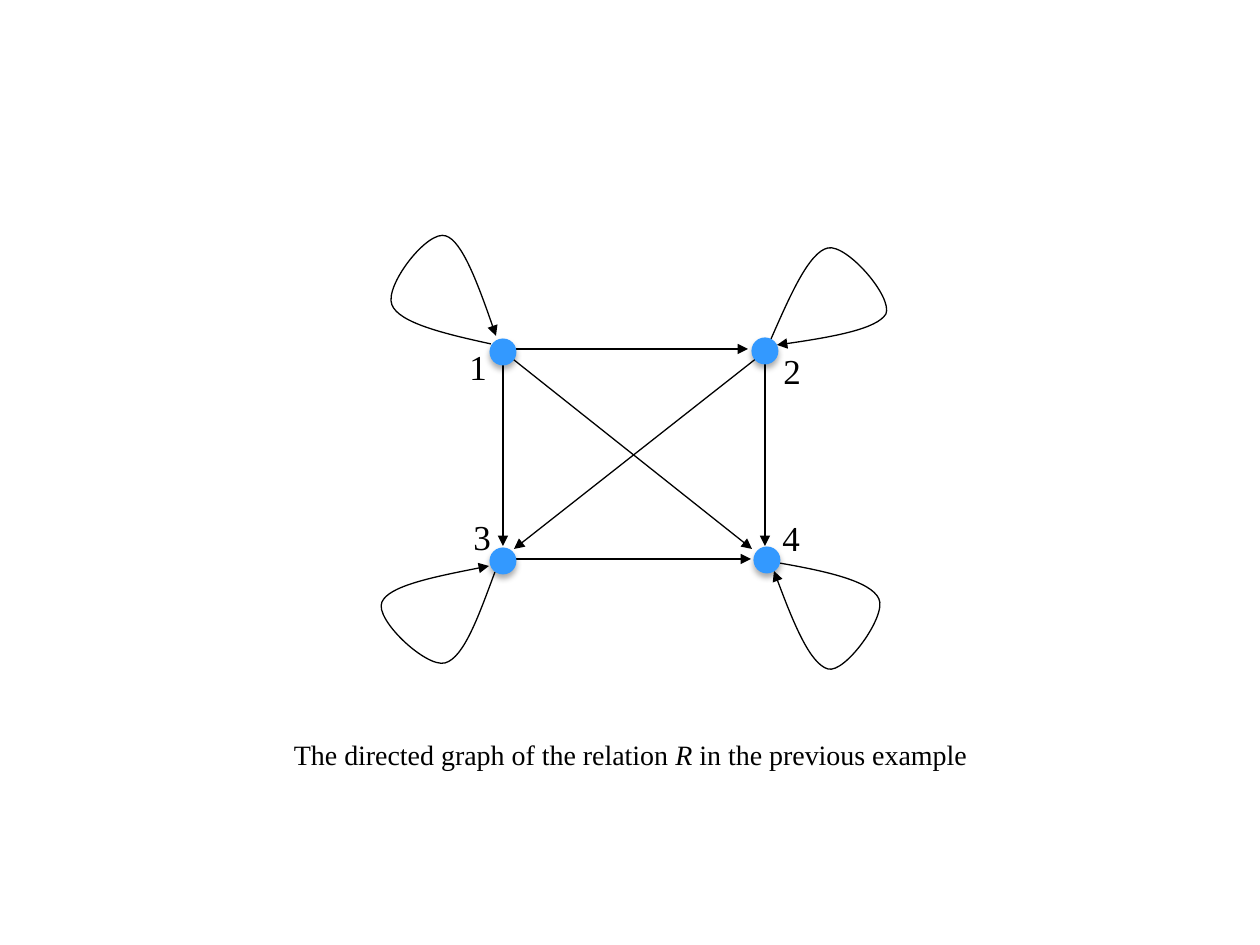
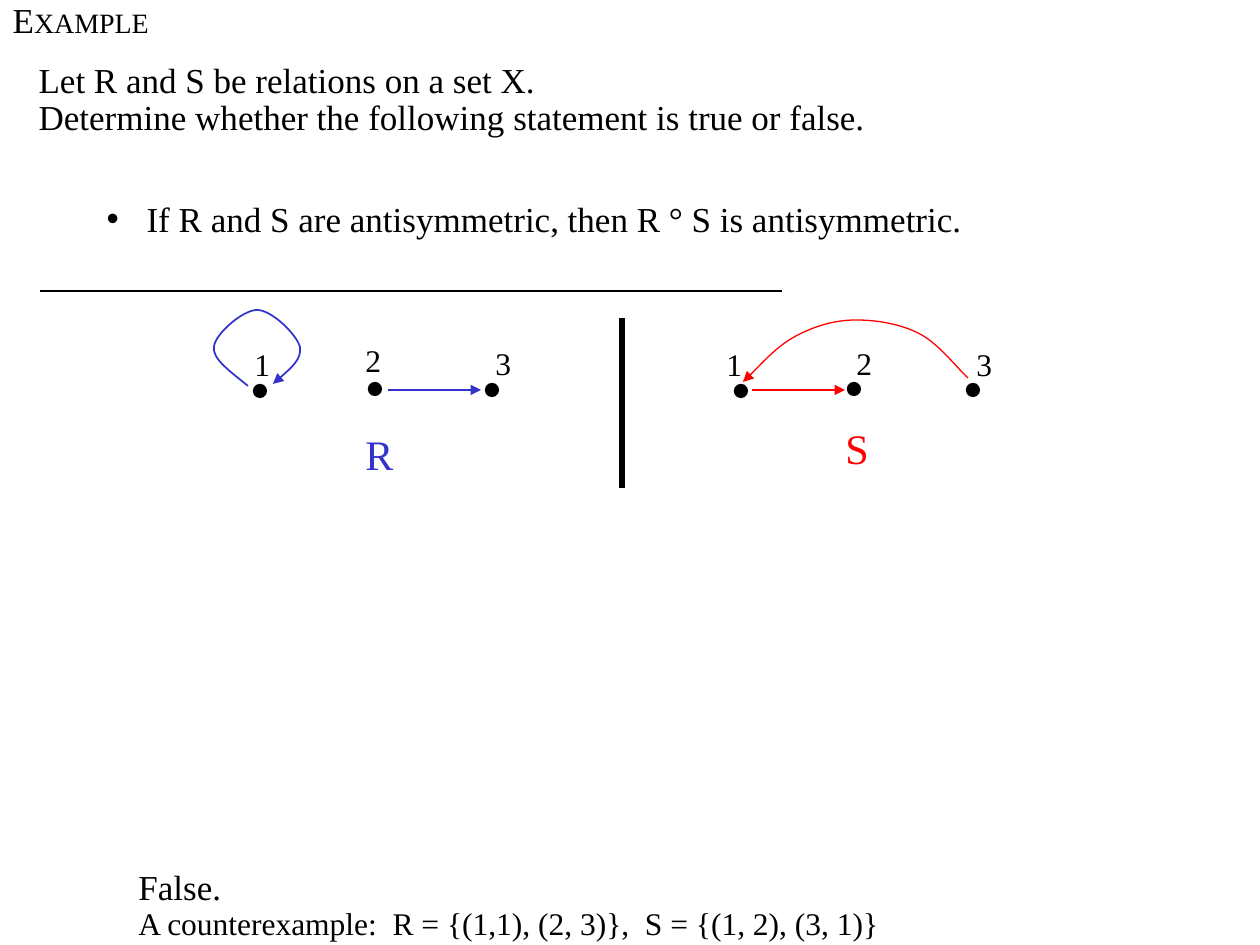
from lxml import etree
from pptx import Presentation
from pptx.dml.color import RGBColor
from pptx.enum.shapes import MSO_CONNECTOR, MSO_SHAPE
from pptx.enum.text import MSO_ANCHOR, MSO_AUTO_SIZE, PP_ALIGN
from pptx.oxml.ns import qn
from pptx.util import Inches, Pt

BLACK = RGBColor(0, 0, 0)
AZURE = RGBColor(0x33, 0x99, 0xFF)
BLUE = RGBColor(0x33, 0x33, 0xCC)
RED = RGBColor(0xFF, 0, 0)
FONT = "Times New Roman"
LEFT, CENTER = PP_ALIGN.LEFT, PP_ALIGN.CENTER
TOP = MSO_ANCHOR.TOP
FIXED = MSO_AUTO_SIZE.NONE
OVAL = MSO_SHAPE.OVAL
STRAIGHT = MSO_CONNECTOR.STRAIGHT
UNIT = Inches(1) // 126
TIGHT = {"ls": 0.8, "gap": 2}

CAPTION = [("The directed graph of the relation ", 16), ("R", 16, True),
           (" in the previous example", 16)]
NODES = [
    ("1", (503, 352), (457, 339)),
    ("2", (765, 351), (771, 343)),
    ("3", (503, 561), (461, 509)),
    ("4", (767, 560), (770, 510)),
]
EDGES = [
    ((501, 349), (748, 349)),
    ((503, 349), (503, 546)),
    ((762, 354), (514, 549)),
    ((504, 352), (752, 549)),
    ((765, 350), (765, 546)),
    ((498, 559), (751, 559)),
]
LOOPS = [
    [(491, 344), (445, 334), (399, 323), (392, 305), (384, 286),
     (428, 229), (446, 236), (462, 241), (480, 289), (496, 336)],
    [(771, 339), (790, 296), (809, 252), (828, 248), (847, 244),
     (893, 297), (886, 314), (877, 329), (828, 338), (777, 345)],
    [(495, 572), (479, 615), (464, 658), (445, 663), (426, 668),
     (374, 619), (382, 602), (389, 586), (438, 576), (489, 566)],
    [(779, 563), (825, 571), (871, 581), (879, 599), (887, 616),
     (845, 674), (828, 669), (810, 664), (791, 617), (774, 571)],
]

TITLE = [("E", 20), ("XAMPLE", 16)]
INTRO = ["Let R and S be relations on a set X.",
         "Determine whether the following statement is true or false."]
CLAIM = "If R and S are antisymmetric, then R ° S is antisymmetric."
ANSWER = [("False.", 20),
          ("A counterexample:  R = {(1,1), (2, 3)},  S = {(1, 2), (3, 1)}", 18)]
RULES = [((40, 291), (782, 291), 1.5), ((622, 318), (622, 488), 3)]
GRAPHS = [
    {"name": "R", "at": (353, 422), "color": BLUE, "width": 1,
     "nodes": [("1", (260, 391), (242, 339)), ("2", (375, 389), (353, 335)),
               ("3", (492, 390), (483, 338))],
     "edge": ((388, 390), (481, 390)),
     "curve": [(248, 386), (231, 372), (212, 359), (214, 347), (215, 334),
               (243, 310), (257, 310), (272, 310), (297, 335), (300, 347),
               (302, 359), (287, 372), (273, 384)]},
    {"name": "S", "at": (833, 416), "color": RED, "width": 0.75,
     "nodes": [("1", (741, 391), (714, 339)), ("2", (854, 389), (844, 338)),
               ("3", (973, 390), (964, 339))],
     "edge": ((752, 390), (845, 390)),
     "curve": [(968, 378), (958, 369), (939, 344), (920, 334), (901, 324),
               (877, 320), (856, 320), (835, 320), (815, 326), (796, 336),
               (777, 346), (752, 374), (743, 382)]},
]


def px(*vals):
    return [round(v * UNIT) for v in vals]


def place(shape, box):
    shape.left, shape.top, shape.width, shape.height = px(*box)
    frame = shape.text_frame
    frame.word_wrap = True
    frame.auto_size = FIXED
    frame.vertical_anchor = TOP
    return frame


def write(para, runs, color=BLACK, align=LEFT, ls=1, gap=0):
    para.alignment = align
    para.line_spacing = ls
    para.space_before = Pt(gap)
    for text, size, *slant in runs:
        run = para.add_run()
        run.text = text
        font = run.font
        font.name, font.size = FONT, Pt(size)
        font.italic = bool(slant)
        font.color.rgb = color


def lines(frame, rows):
    for i, (runs, style) in enumerate(rows):
        para = frame.add_paragraph() if i else frame.paragraphs[0]
        write(para, runs, **style)


def indent(para, left, hang, mark=None):
    props = para._p.get_or_add_pPr()
    props.set("marL", str(left * UNIT))
    props.set("indent", str(-hang * UNIT))
    if mark:
        etree.SubElement(props, qn("a:buChar")).set("char", mark)
    else:
        etree.SubElement(props, qn("a:buNone"))


def label(slide, text, at, size, color=BLACK):
    box = slide.shapes.add_textbox(0, 0, 0, 0)
    frame = place(box, (*at, 50, 60))
    frame.word_wrap = False
    write(frame.paragraphs[0], [(text, size)], color)


def stroke(shape, color, width, arrow):
    shape.line.color.rgb = color
    shape.line.width = Pt(width)
    if arrow:
        ln = shape.line._get_or_add_ln()
        etree.SubElement(ln, qn("a:tailEnd")).set("type", "triangle")


def link(slide, start, end, color=BLACK, width=0.75, arrow=True):
    wire = slide.shapes.add_connector(STRAIGHT, *px(*start, *end))
    stroke(wire, color, width, arrow)
    etree.SubElement(wire._element.spPr, qn("a:effectLst"))


def curve(slide, points, color=BLACK, width=0.75):
    dots = [px(*p) for p in points]
    form = slide.shapes.build_freeform(*dots[0])
    form.add_line_segments(dots[1:], close=False)
    shape = form.convert_to_shape()
    steps = list(shape._element.iter(qn("a:lnTo")))
    for i in range(0, len(steps), 3):
        bend = etree.Element(qn("a:cubicBezTo"))
        steps[i].addprevious(bend)
        for step in steps[i:i + 3]:
            bend.append(step[0])
            step.getparent().remove(step)
    shape.fill.background()
    stroke(shape, color, width, True)
    shape.shadow.inherit = False


def dot(slide, mid, size, color):
    x, y = mid
    shape = slide.shapes.add_shape(
        OVAL, *px(x - size / 2, y - size / 2, size, size))
    shape.fill.solid()
    shape.fill.fore_color.rgb = color
    shape.shadow.inherit = False
    return shape


def shade(shape):
    glow = shape._element.spPr.find(qn("a:effectLst"))
    cast = etree.SubElement(glow, qn("a:outerShdw"), blurRad=str(Pt(3.5)),
                            dist=str(Pt(2.2)), dir="5400000", rotWithShape="0")
    tone = etree.SubElement(cast, qn("a:srgbClr"), val=str(BLACK))
    etree.SubElement(tone, qn("a:alpha"), val="32000")


deck = Presentation()
deck.slide_width, deck.slide_height = Inches(10), Inches(7.5)

graph = deck.slides.add_slide(deck.slide_layouts[5])
frame = place(graph.shapes.title, (260, 731, 741, 47))
write(frame.paragraphs[0], CAPTION, align=CENTER)
for start, end in EDGES:
    link(graph, start, end)
for points in LOOPS:
    curve(graph, points)
for text, mid, at in NODES:
    node = dot(graph, mid, 27, AZURE)
    node.line.fill.background()
    shade(node)
    label(graph, text, at, 20)

proof = deck.slides.add_slide(deck.slide_layouts[1])
frame = place(proof.shapes.title, (0, 0, 400, 50))
lines(frame, [(TITLE, TIGHT)])
frame = place(proof.placeholders[1], (26, 60, 1100, 200))
lines(frame, [([(text, 20)], TIGHT) for text in INTRO]
      + [([(CLAIM, 20)], {"ls": 0.8, "gap": 39})])
*intro, claim = frame.paragraphs
for para in intro:
    indent(para, 0, 0)
claim.level = 1
indent(claim, 108, 40, "•")
frame = place(proof.shapes.add_textbox(0, 0, 0, 0), (126, 868, 900, 76))
lines(frame, [([row], TIGHT) for row in ANSWER])
for start, end, width in RULES:
    link(proof, start, end, BLACK, width, False)
for part in GRAPHS:
    pen = part["color"], part["width"]
    for text, mid, at in part["nodes"]:
        stroke(dot(proof, mid, 13, BLACK), BLACK, 0.75, False)
        label(proof, text, at, 18)
    link(proof, *part["edge"], *pen)
    curve(proof, part["curve"], *pen)
    label(proof, part["name"], part["at"], 24, part["color"])

deck.save("out.pptx")
